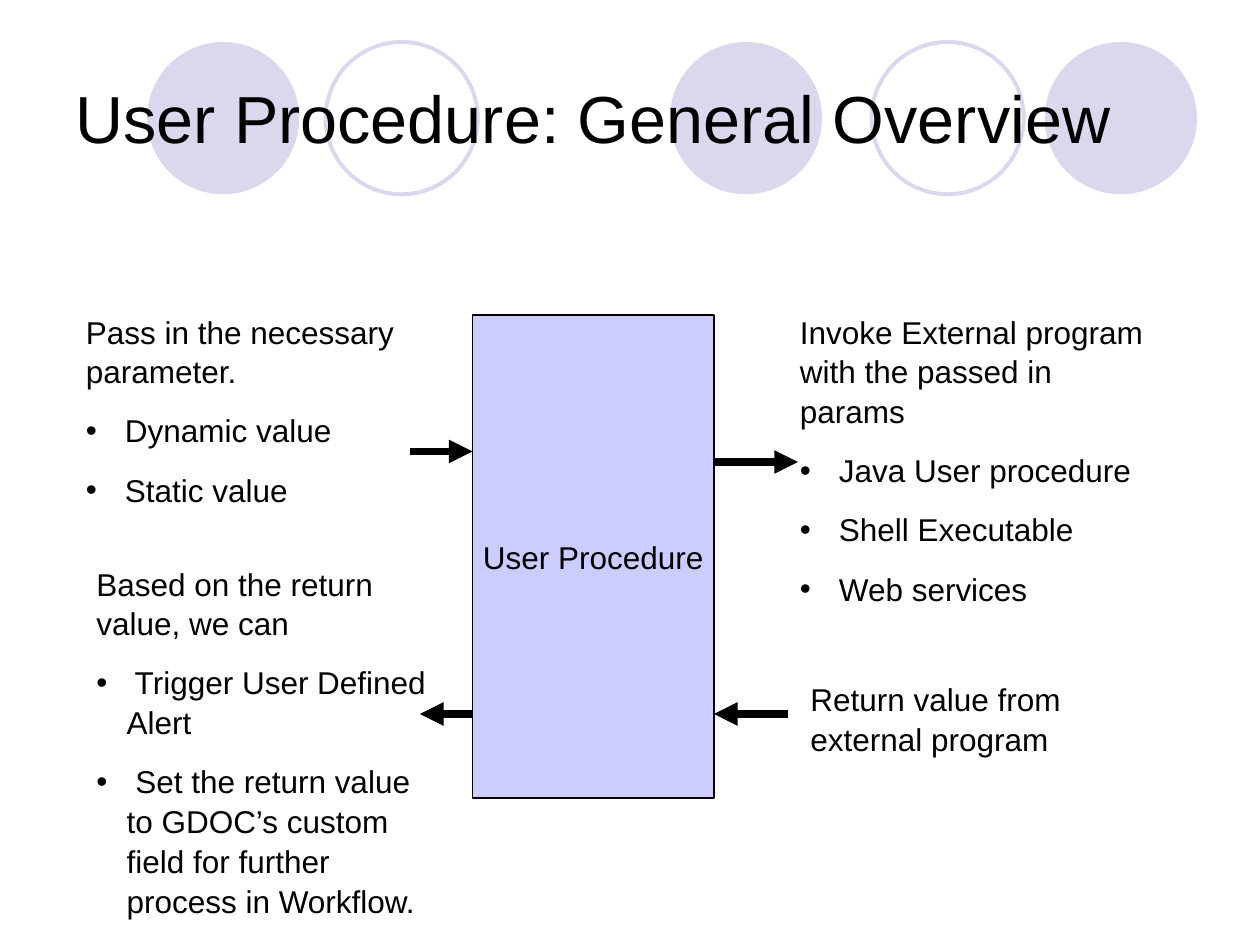
from collections import namedtuple

from lxml.etree import SubElement
from pptx import Presentation
from pptx.dml.color import RGBColor
from pptx.enum.shapes import MSO_CONNECTOR as Connector, MSO_SHAPE as Shape
from pptx.enum.text import MSO_ANCHOR as Anchor, PP_ALIGN as Align
from pptx.oxml.ns import qn
from pptx.util import Inches, Pt

COLORS = {"ink": "000000", "circle": "D9D8EC", "process": "CCCCFF"}
FONT = "Arial"
UNIT = Inches(1) / 12
COLUMNS, ROWS = 120, 90
Box = namedtuple("Box", "left top width height")


def grid(*cells):
    """Turn grid cells into lengths."""
    return [round(cell * UNIT) for cell in cells]


def color(name):
    """Look up a named colour."""
    return RGBColor.from_string(COLORS[name])


def add_text(para, words, size):
    """Add one styled run to a paragraph."""
    span = para.add_run()
    span.text = words
    span.font.name = FONT
    span.font.size = Pt(size)
    span.font.color.rgb = color("ink")


def add_bullet(para):
    """Give a paragraph a hanging bullet."""
    props = para._p.get_or_add_pPr()
    hang = Inches(0.24)
    props.set("marL", str(hang))
    props.set("indent", str(-hang))
    SubElement(props, qn("a:buFont"), typeface=FONT)
    SubElement(props, qn("a:buChar"), char="•")


def add_figure(page, kind, box, fill=None, line=None, weight=0.75):
    """Place a preset shape with the given fill and outline."""
    shape = page.shapes.add_shape(kind, *grid(*box))
    shape.shadow.inherit = False
    if fill:
        shape.fill.solid()
        shape.fill.fore_color.rgb = color(fill)
    else:
        shape.fill.background()
    if line:
        shape.line.color.rgb = color(line)
        shape.line.width = Pt(weight)
    else:
        shape.line.fill.background()
    return shape


def add_header(page, box):
    """Draw the row of circles and the title over it."""
    size = 14.5
    circles = [(8, True), (25, False), (57.8, True), (77, False), (93.5, True)]
    for offset, solid in circles:
        circle = Box(box.left + offset, box.top + 0.4, size, size)
        add_figure(page, Shape.OVAL, circle,
                   fill="circle" if solid else None,
                   line=None if solid else "circle", weight=2.25)
    frame = page.shapes.add_textbox(*grid(*box)).text_frame
    frame.word_wrap = True
    frame.vertical_anchor = Anchor.MIDDLE
    add_text(frame.paragraphs[0], "User Procedure: General Overview", 38)


def add_process(page, box):
    """Draw the central process block."""
    block = add_figure(page, Shape.RECTANGLE, box, "process", "ink")
    frame = block.text_frame
    frame.word_wrap = False
    frame.vertical_anchor = Anchor.MIDDLE
    para = frame.paragraphs[0]
    para.alignment = Align.CENTER
    add_text(para, "User Procedure", 18)


def add_note(page, box, lead, bullets=()):
    """Write a lead sentence followed by bullets."""
    frame = page.shapes.add_textbox(*grid(*box)).text_frame
    frame.word_wrap = True
    for index, words in enumerate([lead, *bullets]):
        para = frame.add_paragraph() if index else frame.paragraphs[0]
        para.space_before = Pt(11.2)
        para.line_spacing = 1.05
        if index:
            add_bullet(para)
            words = " " + words
        add_text(para, words, 18)


def add_arrow(page, start, end, row):
    """Draw a level arrow along a grid row."""
    arrow = page.shapes.add_connector(Connector.STRAIGHT, *grid(start, row, end, row))
    arrow.line.color.rgb = color("ink")
    arrow.line.width = Pt(4.5)
    SubElement(arrow.line._get_or_add_ln(), qn("a:tailEnd"), type="triangle")
    SubElement(arrow._element.spPr, qn("a:effectLst"))


def add_flow(page, box):
    """Place the process, its four notes and the arrows between them."""
    process = Box(box.left + 38, box.top + 1, 23, 46)
    right = process.left + process.width
    add_process(page, process)
    notes = [
        (0, 0, 34, 19.4, "Pass in the necessary parameter.",
         ["Dynamic value", "Static value"]),
        (1, 24, 35, 33.8, "Based on the return value, we can",
         ["Trigger User Defined Alert",
          "Set the return value to GDOC’s custom field for further process in Workflow."]),
        (68, 0, 36, 28.4, "Invoke External program with the passed in params",
         ["Java User procedure", "Shell Executable", "Web services"]),
        (69, 35, 34, 8.4, "Return value from external program", []),
    ]
    for column, row, width, height, lead, bullets in notes:
        place = Box(box.left + column, box.top + row, width, height)
        add_note(page, place, lead, bullets)
    arrows = [
        (process.left - 6, process.left, 14),
        (right, right + 8, 15),
        (right + 7, right, 39),
        (process.left, process.left - 5, 39),
    ]
    for start, end, row in arrows:
        add_arrow(page, start, end, box.top + row)


def main():
    """Build the deck and save it."""
    deck = Presentation()
    deck.slide_width, deck.slide_height = grid(COLUMNS, ROWS)
    page = deck.slides.add_slide(deck.slide_layouts[6])
    add_header(page, Box(6, 3.6, 108, 15))
    add_flow(page, Box(7, 29, 104, 58))
    deck.save("out.pptx")


main()
